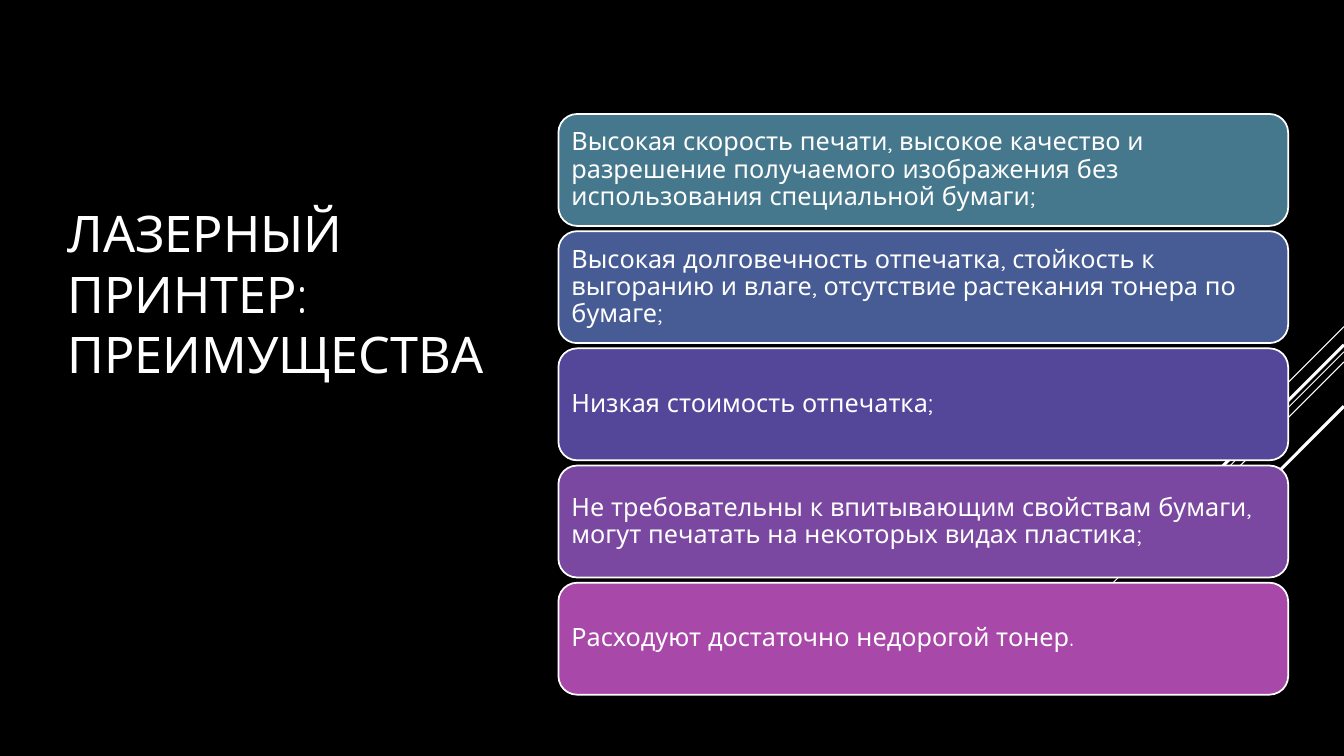
from pptx import Presentation
from pptx.dml.color import RGBColor
from pptx.enum.shapes import MSO_CONNECTOR as Connector, MSO_SHAPE as Shape
from pptx.enum.text import MSO_ANCHOR as Anchor, PP_ALIGN as Align
from pptx.oxml.ns import qn
from pptx.util import Pt
from lxml.etree import SubElement

BLACK = RGBColor(0x00, 0x00, 0x00)
WHITE = RGBColor(0xFF, 0xFF, 0xFF)
TEAL = RGBColor(0x46, 0x78, 0x8D)
BLUE = RGBColor(0x47, 0x5C, 0x94)
INDIGO = RGBColor(0x54, 0x47, 0x9A)
PURPLE = RGBColor(0x7B, 0x48, 0xA1)
MAGENTA = RGBColor(0xA8, 0x48, 0xA8)

PAGE_WIDTH, PAGE_HEIGHT = 960, 540
FONT = "Quicksand"
TITLE = "ЛАЗЕРНЫЙ ПРИНТЕР: ПРЕИМУЩЕСТВА"
ADVANTAGES = [
    ("Высокая скорость печати, высокое качество и разрешение получаемого "
     "изображения без использования специальной бумаги;", TEAL),
    ("Высокая долговечность отпечатка, стойкость к выгоранию и влаге, "
     "отсутствие растекания тонера по бумаге;", BLUE),
    ("Низкая стоимость отпечатка;", INDIGO),
    ("Не требовательны к впитывающим свойствам бумаги, могут печатать "
     "на некоторых видах пластика;", PURPLE),
    ("Расходуют достаточно недорогой тонер.", MAGENTA),
]
# Offset from the top of the fan, run to the left, line width
STRIPES = [(0, 72, 0.75), (18, 234.7, 0.75), (25.2, 149, 0.75),
           (13, 137.5, 2.25), (56.9, 100, 2.25)]


def apply(target, values):
    """Set each attribute of the target from a dict of format values."""
    for name, value in values.items():
        setattr(target, name, value)


def write(shape, text, size, margin, spacing):
    """Put one left-aligned, vertically centred paragraph into a shape."""
    frame = shape.text_frame
    frame.text = text
    apply(frame, {"word_wrap": True, "vertical_anchor": Anchor.MIDDLE,
                  "margin_left": Pt(margin), "margin_right": Pt(margin),
                  "margin_top": Pt(5), "margin_bottom": Pt(5)})
    para = frame.paragraphs[0]
    apply(para, {"alignment": Align.LEFT, "line_spacing": spacing})
    span = para.runs[0]
    apply(span.font, {"name": FONT, "size": Pt(size)})
    span.font.color.rgb = WHITE


def add_stripes(page, right, top):
    """Draw the fan of 45-degree lines that starts at the right edge."""
    for offset, run, width in STRIPES:
        start = top + offset
        stripe = page.shapes.add_connector(
            Connector.STRAIGHT, Pt(right), Pt(start), Pt(right - run), Pt(start + run))
        stripe.line.color.rgb = WHITE
        stripe.line.width = Pt(width)
        SubElement(stripe._element.spPr, qn("a:effectLst"))


def add_title(page, left, top, width, height):
    """Place and format the title placeholder in the given box."""
    title = page.shapes.title
    apply(title, {"left": Pt(left), "top": Pt(top),
                  "width": Pt(width), "height": Pt(height)})
    write(title, TITLE, 36, 7.2, 1.0)


def add_cards(page, left, top, width, height, gap=3.75):
    """Stack one rounded card per advantage in the given box."""
    count = len(ADVANTAGES)
    card_height = (height - gap * (count - 1)) / count
    for index, (text, color) in enumerate(ADVANTAGES):
        card = page.shapes.add_shape(
            Shape.ROUNDED_RECTANGLE, Pt(left), Pt(top + index * (card_height + gap)),
            Pt(width), Pt(card_height))
        card.shadow.inherit = False
        card.fill.solid()
        card.fill.fore_color.rgb = color
        card.line.color.rgb = WHITE
        card.line.width = Pt(1.25)
        write(card, text, 18, 5.4, 0.9)


def main():
    """Build the slide and save the deck."""
    deck = Presentation()
    apply(deck, {"slide_width": Pt(PAGE_WIDTH), "slide_height": Pt(PAGE_HEIGHT)})
    page = deck.slides.add_slide(deck.slide_layouts.get_by_name("Title Only"))
    page.background.fill.solid()
    page.background.fill.fore_color.rgb = BLACK
    add_stripes(page, PAGE_WIDTH, 233.3)
    add_title(page, 41, 77, 317.5, 265)
    add_cards(page, 398.9, 81.4, 521.3, 414.8)
    deck.save("out.pptx")


if __name__ == "__main__":
    main()
